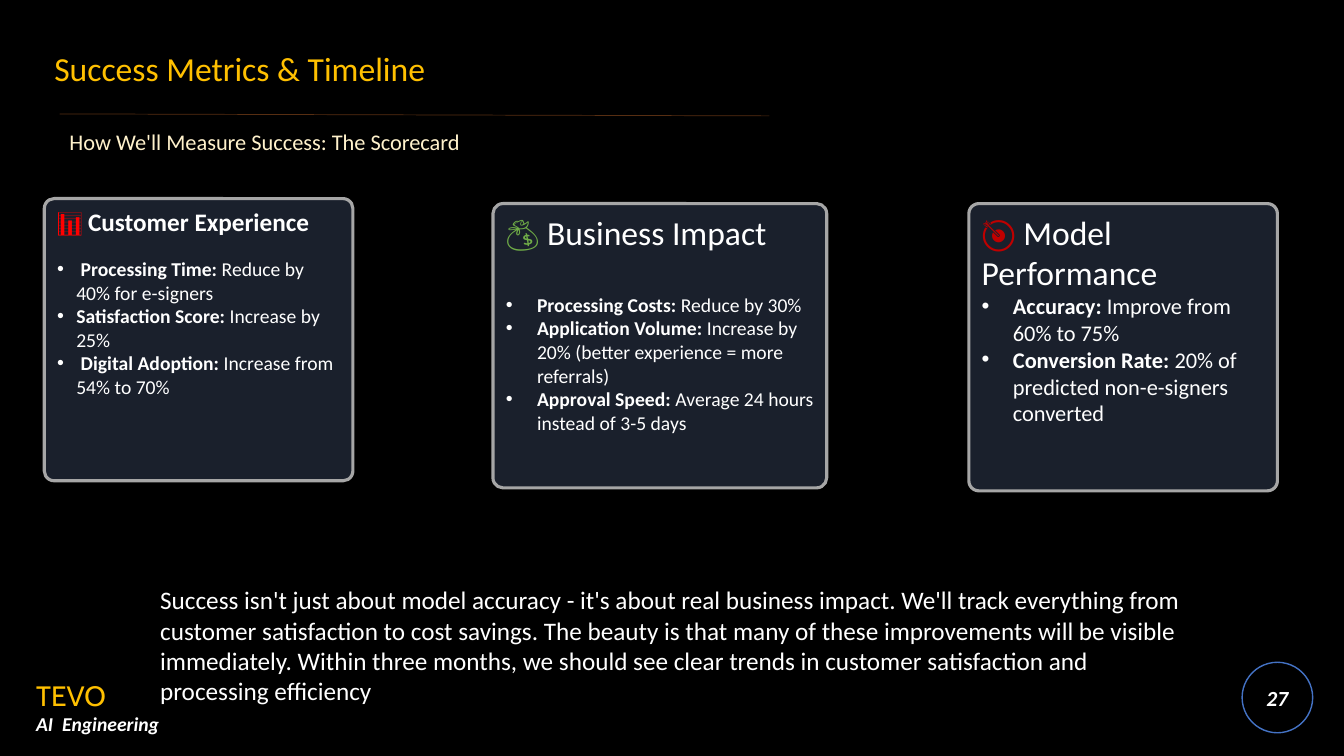
from dataclasses import dataclass

import lxml.etree
import pptx
import pptx.dml.color
import pptx.enum.shapes
import pptx.enum.text
import pptx.oxml.ns
import pptx.util

COLOURS = {
    "black": "000000", "white": "FFFFFF", "gold": "FFC000", "cream": "FFF2CC",
    "blue": "4472C4", "orange": "ED7D31", "navy": "1A202C", "grey": "A6A6A6",
    "red": "FF0000", "green": "70AD47", "crimson": "C00000",
}
SLIDE_WIDTH = pptx.util.Inches(13.33)
SLIDE_HEIGHT = pptx.util.Inches(7.5)
SHAPES = pptx.enum.shapes.MSO_SHAPE
qn = pptx.oxml.ns.qn


@dataclass(frozen=True)
class Area:
    """Position and size as percentages of the slide."""
    left: float
    top: float
    width: float
    height: float

    def box(self) -> tuple[int, int, int, int]:
        return (across(self.left), down(self.top), across(self.width), down(self.height))


@dataclass(frozen=True)
class Run:
    text: str
    size: float
    colour: str = "white"
    bold: bool = False
    italic: bool = False
    font: str = "Calibri"


@dataclass(frozen=True)
class Caption:
    area: Area
    lines: tuple[Run, ...]


@dataclass(frozen=True)
class Card:
    area: Area
    icon: str
    icon_colour: str
    heading: str
    heading_size: float
    heading_bold: bool
    metric_size: float
    indent: float
    gap: float
    metrics: tuple[tuple[str, str], ...]


CAPTIONS = (
    Caption(Area(1.95, 89.07, 18.53, 8.93), (
        Run("TEVO", 20, "gold", font="Cabin"),
        Run("AI  Engineering", 14, bold=True, italic=True),
    )),
    Caption(Area(3.3, 5.73, 61.89, 6.67), (Run("Success Metrics & Timeline", 24, "gold"),)),
    Caption(Area(4.43, 16.27, 39.76, 4.93),
            (Run("How We'll Measure Success: The Scorecard", 16, "cream"),)),
    Caption(Area(11.18, 76.67, 78.47, 17.47), (Run(
        "Success isn't just about model accuracy - it's about real business impact. "
        "We'll track everything from customer satisfaction to cost savings. "
        "The beauty is that many of these improvements will be visible immediately. "
        "Within three months, we should see clear trends in customer satisfaction "
        "and processing efficiency", 18),)),
)

CARDS = (
    Card(Area(3.3, 26.27, 22.96, 37.33), "📊", "red", "Customer Experience",
         18, True, 14, 0.19, 14.6, (
             (" Processing Time:", "Reduce by 40% for e-signers"),
             ("Satisfaction Score:", "Increase by 25%"),
             (" Digital Adoption:", "Increase from 54% to 70%"),
         )),
    Card(Area(36.68, 26.93, 24.83, 37.6), "💰", "green", "Business Impact",
         24, False, 14, 0.31, 29.3, (
             ("Processing Costs:", "Reduce by 30%"),
             ("Application Volume:", "Increase by 20% (better experience = more referrals)"),
             ("Approval Speed:", "Average 24 hours instead of 3-5 days"),
         )),
    Card(Area(72.09, 26.93, 22.96, 38), "🎯", "crimson", "Model Performance",
         24, False, 16, 0.31, 0, (
             ("Accuracy:", "Improve from 60% to 75%"),
             ("Conversion Rate:", "20% of predicted non-e-signers converted"),
         )),
)


def across(percent: float) -> int:
    return round(SLIDE_WIDTH * percent / 100)


def down(percent: float) -> int:
    return round(SLIDE_HEIGHT * percent / 100)


def rgb(colour: str) -> pptx.dml.color.RGBColor:
    return pptx.dml.color.RGBColor.from_string(COLOURS[colour])


def write(paragraph, *runs: Run) -> None:
    for run in runs:
        written = paragraph.add_run()
        written.text = run.text
        formats = {"name": run.font, "size": pptx.util.Pt(run.size),
                   "bold": run.bold, "italic": run.italic}
        for attribute, value in formats.items():
            setattr(written.font, attribute, value)
        written.font.color.rgb = rgb(run.colour)


def add_bullet(paragraph, indent: float) -> None:
    properties = paragraph._p.get_or_add_pPr()
    hang = pptx.util.Inches(indent)
    properties.set("marL", str(hang))
    properties.set("indent", str(-hang))
    lxml.etree.SubElement(properties, qn("a:buFont"), typeface="Arial")
    lxml.etree.SubElement(properties, qn("a:buChar"), char="•")


def add_panel(slide, preset, area: Area, fill: str, line: str, weight: float):
    panel = slide.shapes.add_shape(preset, *area.box())
    panel.shadow.inherit = False
    panel.fill.solid()
    panel.fill.fore_color.rgb = rgb(fill)
    panel.line.color.rgb = rgb(line)
    panel.line.width = pptx.util.Pt(weight)
    panel.text_frame.word_wrap = True
    return panel


def add_page_badge(slide) -> None:
    badge = add_panel(slide, SHAPES.OVAL, Area(92.42, 87.6, 5.25, 9.33), "black", "blue", 1)
    badge.text_frame.vertical_anchor = pptx.enum.text.MSO_ANCHOR.MIDDLE
    number = badge.text_frame.paragraphs[0]
    number.alignment = pptx.enum.text.PP_ALIGN.CENTER
    write(number, Run("27", 15.4, bold=True, italic=True))


def add_caption(slide, caption: Caption) -> None:
    frame = slide.shapes.add_textbox(*caption.area.box()).text_frame
    frame.word_wrap = True
    for index, line in enumerate(caption.lines):
        write(frame.add_paragraph() if index else frame.paragraphs[0], line)


def add_title_rule(slide) -> None:
    rule = slide.shapes.add_connector(
        pptx.enum.shapes.MSO_CONNECTOR.STRAIGHT,
        across(4.43), down(15.07), across(57.24), down(15.33))
    rule.line.color.rgb = rgb("orange")
    rule.line.width = pptx.util.Pt(0.5)
    properties = rule._element.spPr
    tint = properties.find(".//" + qn("a:srgbClr"))
    lxml.etree.SubElement(tint, qn("a:alpha"), val="37000")
    lxml.etree.SubElement(properties, qn("a:effectLst"))


def add_card(slide, card: Card) -> None:
    panel = add_panel(slide, SHAPES.ROUNDED_RECTANGLE, card.area, "navy", "grey", 2.25)
    panel.adjustments[0] = 0.035
    frame = panel.text_frame
    frame.vertical_anchor = pptx.enum.text.MSO_ANCHOR.TOP
    heading = frame.paragraphs[0]
    heading.alignment = pptx.enum.text.PP_ALIGN.LEFT
    write(heading,
          Run(card.icon, card.heading_size, card.icon_colour, card.heading_bold),
          Run(f" {card.heading}", card.heading_size, bold=card.heading_bold))
    for index, (measure, target) in enumerate(card.metrics):
        metric = frame.add_paragraph()
        metric.alignment = pptx.enum.text.PP_ALIGN.LEFT
        metric.space_before = pptx.util.Pt(0 if index else card.gap)
        add_bullet(metric, card.indent)
        write(metric, Run(measure, card.metric_size, bold=True),
              Run(f" {target}", card.metric_size))


def main() -> None:
    deck = pptx.Presentation()
    deck.slide_width, deck.slide_height = SLIDE_WIDTH, SLIDE_HEIGHT
    slide = deck.slides.add_slide(deck.slide_layouts[6])
    slide.background.fill.solid()
    slide.background.fill.fore_color.rgb = rgb("black")
    add_page_badge(slide)
    for caption in CAPTIONS:
        add_caption(slide, caption)
    add_title_rule(slide)
    for card in CARDS:
        add_card(slide, card)
    deck.save("out.pptx")


if __name__ == "__main__":
    main()
